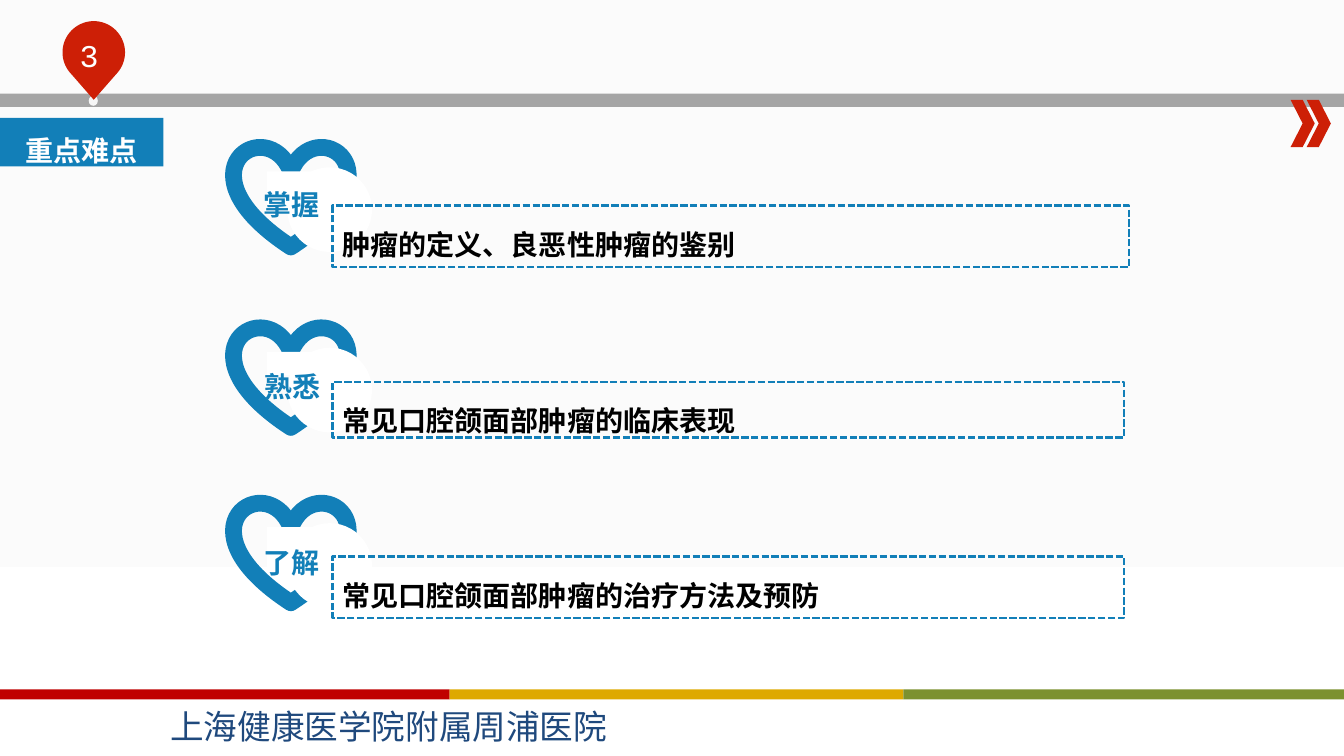
import math
from pptx import Presentation
from pptx import util as u
from pptx.dml.color import RGBColor
from pptx.enum import dml, shapes, text
from pptx.oxml import parse_xml
from pptx.oxml.ns import nsdecls, qn

COLORS = {
    "blue": "127FB8", "red": "CD1F06", "grey": "A5A5A5", "dot": "F6F6F6",
    "white": "FFFFFF", "black": "000000", "navy": "1F497D",
    "stripe_red": "C00000", "stripe_gold": "DEA900", "stripe_green": "7C912F",
}
BACKGROUND_STOPS = [(0, "FBFBFB"), (50, "FBFBFB"), (100, "FFFFFF"), (100, "FCFCFC")]
CJK_FONT = "Noto Sans CJK SC"
SHAPE = shapes.MSO_SHAPE

# heart top, mask height, label left and top, box top, width and height, label, content
GOALS = [
    (1.45, 0.35, 2.27, 1.70, 2.04, 7.90, 0.61, "掌握", "肿瘤的定义、良恶性肿瘤的鉴别"),
    (3.24, 0.23, 2.28, 3.51, 3.79, 7.85, 0.55, "熟悉", "常见口腔颌面部肿瘤的临床表现"),
    (4.98, 0.46, 2.27, 5.25, 5.52, 7.85, 0.61, "了解", "常见口腔颌面部肿瘤的治疗方法及预防"),
]


def rgb(name):
    return RGBColor.from_string(COLORS[name])


def inches(*lengths):
    return [u.Inches(length) for length in lengths]


def paint(shape, fill=None, line=None, width=1):
    shape.shadow.inherit = False
    if fill:
        shape.fill.solid()
        shape.fill.fore_color.rgb = rgb(fill)
    else:
        shape.fill.background()
    if line:
        shape.line.color.rgb = rgb(line)
        shape.line.width = u.Pt(width)
    else:
        shape.line.fill.background()


def add_shape(slide, kind, box, **look):
    shape = slide.shapes.add_shape(kind, *inches(*box))
    paint(shape, **look)
    return shape


def write(shape, words, color, size=20, font="Times New Roman", bold=True, spacing=1.5,
          align=text.PP_ALIGN.LEFT, anchor=text.MSO_ANCHOR.TOP, wrap=True):
    frame = shape.text_frame
    frame.auto_size = text.MSO_AUTO_SIZE.NONE
    frame.word_wrap = wrap
    frame.vertical_anchor = anchor
    paragraph = frame.paragraphs[0]
    paragraph.alignment = align
    paragraph.line_spacing = spacing
    paragraph.space_before = u.Pt(0)
    run = paragraph.add_run()
    run.text = words
    run.font.name = font
    run.font.size = u.Pt(size)
    run.font.bold = bold
    run.font.color.rgb = rgb(color)
    east_asian = run.font._element.makeelement(qn("a:ea"), {"typeface": CJK_FONT})
    run.font._element.find(qn("a:latin")).addnext(east_asian)


def add_text(slide, box, words, color, **style):
    write(slide.shapes.add_textbox(*inches(*box)), words, color, **style)


def set_background(slide):
    fill = slide.background.fill
    fill.gradient()
    fill.gradient_angle = 270
    stops = "".join(f'<a:gs pos="{pos * 1000}"><a:srgbClr val="{color}"/></a:gs>'
                    for pos, color in BACKGROUND_STOPS)
    stop_list = slide.background._cSld.find(".//" + qn("a:gsLst"))
    stop_list.getparent().replace(
        stop_list, parse_xml(f'<a:gsLst {nsdecls("a")}>{stops}</a:gsLst>'))


def add_page_pin(slide):
    """Round pin: three quarters of a circle closed by a point below."""
    center_x, center_y, radius = 0.93, 0.52, 0.31
    arc = [(u.Inches(center_x + radius * math.cos(math.radians(angle))),
            u.Inches(center_y + radius * math.sin(math.radians(angle))))
           for angle in range(135, 406, 5)]
    builder = slide.shapes.build_freeform(*arc[0])
    builder.add_line_segments(arc[1:] + [tuple(inches(center_x, 0.99))])
    paint(builder.convert_to_shape(), fill="red")
    add_text(slide, (0.45, 0.31, 0.87, 0.4), "3", "white", size=22.6, font="Courier New",
             bold=False, spacing=1, align=text.PP_ALIGN.CENTER)


def add_header(slide):
    add_shape(slide, SHAPE.RECTANGLE, (0, 0.93, 13.33, 0.13), fill="grey")
    for left in (12.8, 12.96):
        add_shape(slide, SHAPE.CHEVRON, (left, 0.99, 0.24, 0.47), fill="red")
    add_shape(slide, SHAPE.OVAL, (0.88, 0.95, 0.09, 0.1), fill="dot")
    add_page_pin(slide)


def add_footer(slide):
    for i, color in enumerate(("stripe_red", "stripe_gold", "stripe_green")):
        add_shape(slide, SHAPE.RECTANGLE, (-0.04 + 4.5 * i, 6.84, 4.5, 0.1), fill=color)
    add_text(slide, (1.59, 6.95, 4.53, 0.5), "上海健康医学院附属周浦医院", "navy", size=24,
             font=CJK_FONT, bold=False, spacing=1, wrap=False)


def add_title(slide, words):
    title = slide.shapes.title
    title.left, title.top, title.width, title.height = inches(0, 1.17, 1.62, 0.48)
    title.fill.solid()
    title.fill.fore_color.rgb = rgb("blue")
    write(title, words, "white", align=text.PP_ALIGN.CENTER, anchor=text.MSO_ANCHOR.MIDDLE)


def add_heart(slide, top, mask_height, label_left, label_top, label):
    """Heart outline, opened at the right by two white masks, with its label."""
    add_shape(slide, SHAPE.HEART, (2.32, top, 1.13, 1), line="blue", width=12)
    add_shape(slide, SHAPE.OVAL, (2.85, top + 0.21, 0.84, 0.84), fill="white")
    add_shape(slide, SHAPE.RECTANGLE, (2.65, top + 0.25, 0.46, mask_height), fill="white")
    add_text(slide, (label_left, label_top, 1.25, 0.48), label, "blue",
             align=text.PP_ALIGN.CENTER, anchor=text.MSO_ANCHOR.MIDDLE)


def add_content_box(slide, top, width, height, words):
    content = add_shape(slide, SHAPE.RECTANGLE, (3.3, top, width, height),
                        line="blue", width=1.75)
    content.line.dash_style = dml.MSO_LINE.SQUARE_DOT
    write(content, words, "black")


def main():
    deck = Presentation()
    deck.slide_width, deck.slide_height = inches(13.33, 7.5)
    slide = deck.slides.add_slide(deck.slide_layouts[5])
    set_background(slide)
    add_header(slide)
    add_footer(slide)
    add_title(slide, "重点难点")
    for (heart_top, mask_height, label_left, label_top,
         box_top, width, height, label, words) in GOALS:
        add_heart(slide, heart_top, mask_height, label_left, label_top, label)
        add_content_box(slide, box_top, width, height, words)
    deck.save("out.pptx")


if __name__ == "__main__":
    main()
